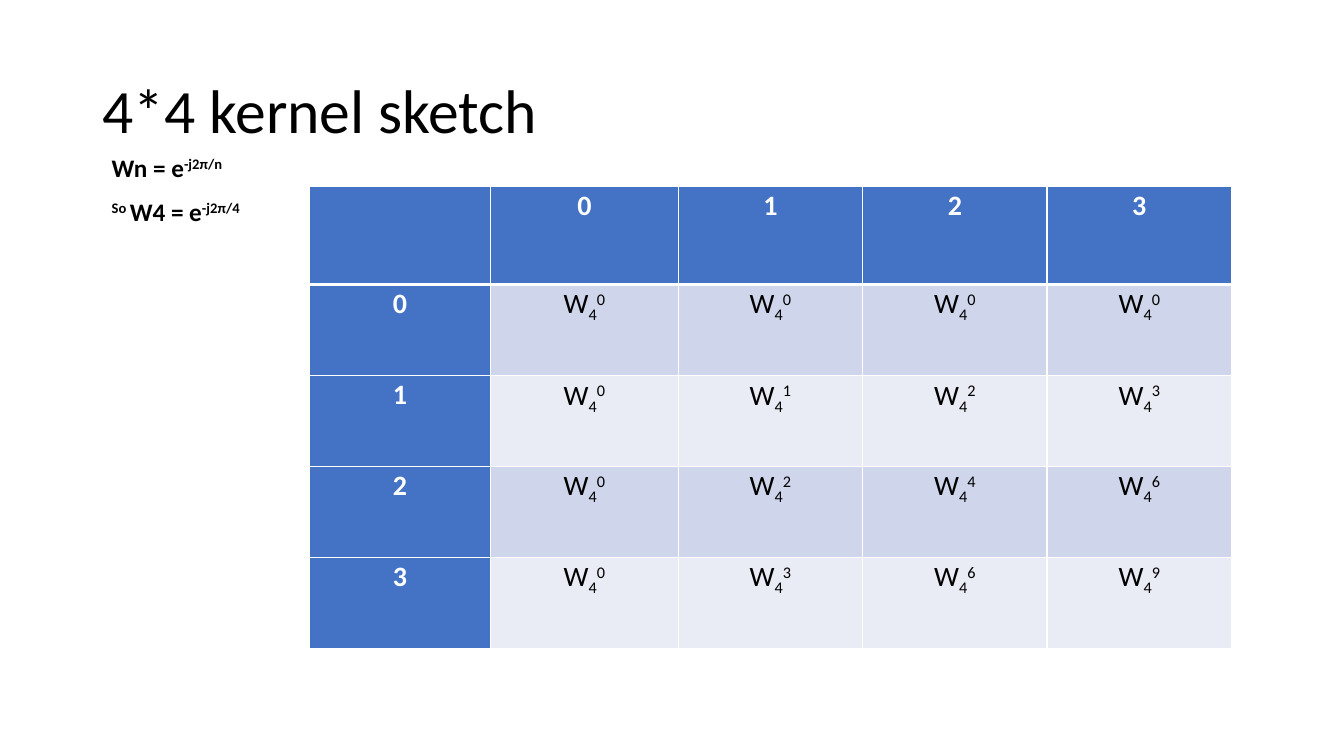
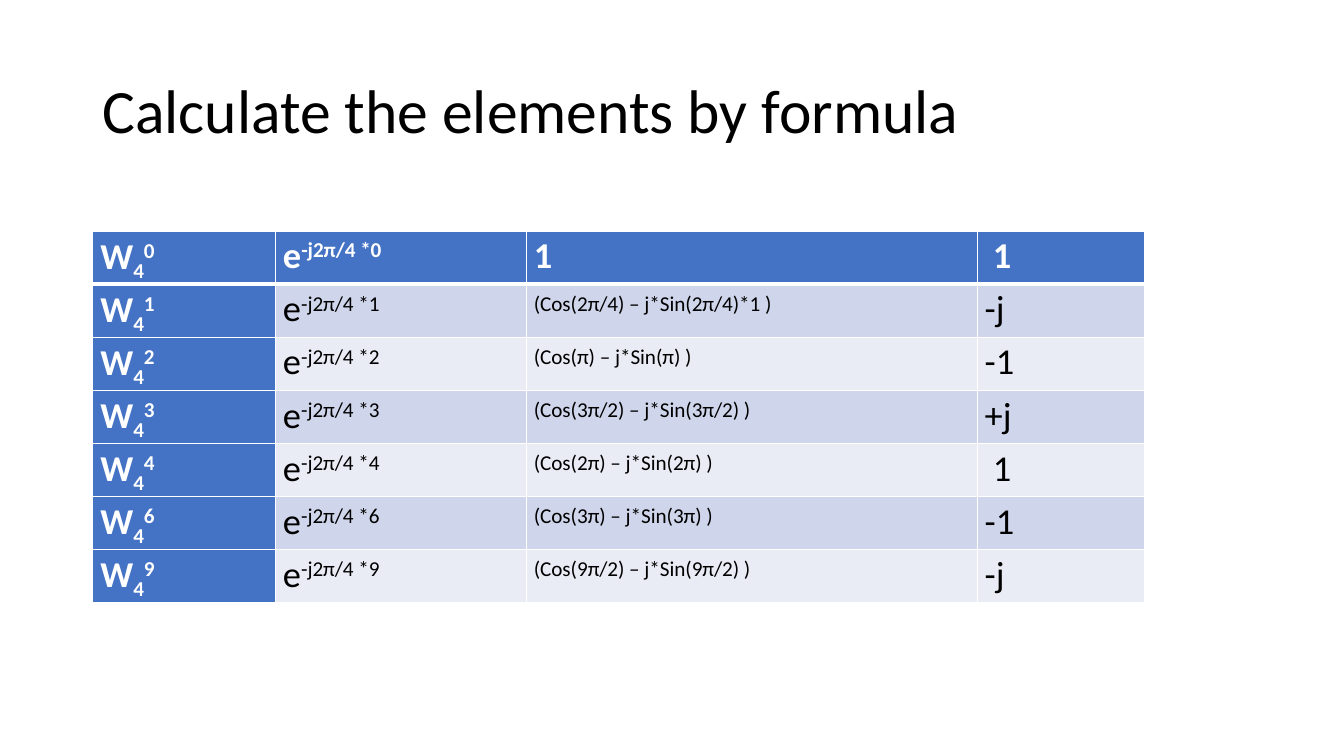
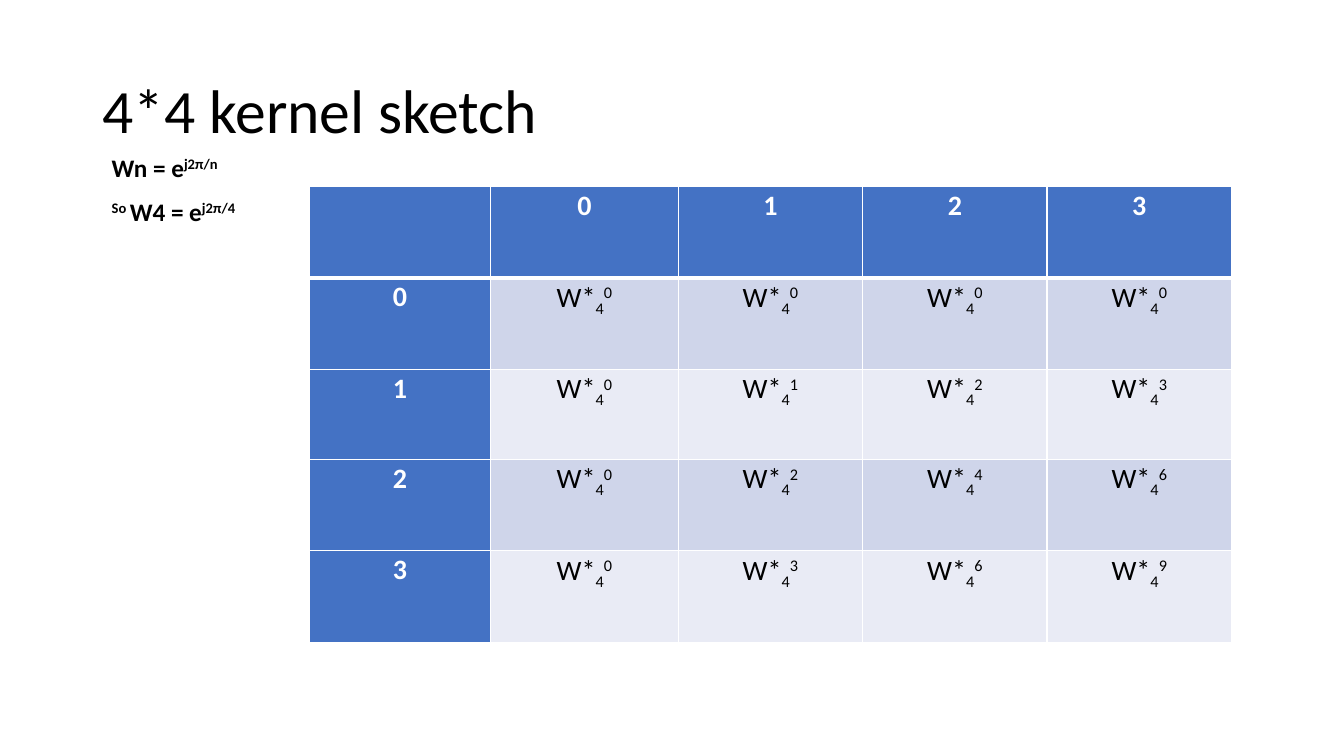
"""Build three slides on the 4*4 Fourier kernel: sketch, element values, conjugate sketch."""
from lxml import etree
from pptx import Presentation
from pptx.dml.color import RGBColor
from pptx.enum.text import MSO_ANCHOR, MSO_AUTO_SIZE, PP_ALIGN
from pptx.oxml.ns import qn
from pptx.util import Pt

LEFT, CENTER = PP_ALIGN.LEFT, PP_ALIGN.CENTER
MIDDLE = MSO_ANCHOR.MIDDLE
FIT_SHAPE = MSO_AUTO_SIZE.SHAPE_TO_FIT_TEXT

BLACK = RGBColor(0x00, 0x00, 0x00)
WHITE = RGBColor(0xFF, 0xFF, 0xFF)
BLUE = RGBColor(0x44, 0x72, 0xC4)
BANDS = [RGBColor(0xE9, 0xEB, 0xF5), RGBColor(0xCF, 0xD5, 0xEA)]
FONT = "Calibri"
SUB, SUP = -25000, 30000


def write(p, runs, size, color=BLACK, bold=False, align=LEFT, spacing=1.07):
    """Fill a paragraph with (text, baseline) runs in one style."""
    p.alignment, p.line_spacing = align, spacing
    p.font.name, p.font.size, p.font.bold = FONT, Pt(size), bold
    p.font.color.rgb = color
    for text, baseline in runs:
        r = p.add_run()
        r.text = text
        if baseline:
            r.font._element.set("baseline", str(baseline))


def add_grid(s, left, top, widths, heights, cells, size, align):
    """Add a banded table with a blue first row and first column."""
    frame = s.shapes.add_table(len(heights), len(widths), Pt(left), Pt(top),
                               Pt(sum(widths)), Pt(sum(heights)))
    table = frame.table
    table.first_col = True
    for column, width in zip(table.columns, widths):
        column.width = Pt(width)
    for i, height in enumerate(heights):
        table.rows[i].height = Pt(height)
        for j, runs in enumerate(cells[i]):
            cell = table.cell(i, j)
            head = i == 0 or j == 0
            cell.margin_left = cell.margin_right = Pt(5.4)
            cell.margin_top = cell.margin_bottom = 0
            for side in ("lnL", "lnR", "lnT", "lnB"):
                thick = (i, side) in ((0, "lnB"), (1, "lnT"))
                ln = etree.SubElement(cell._tc.get_or_add_tcPr(), qn(f"a:{side}"),
                                      w=str(Pt(3 if thick else 1)))
                fill = etree.SubElement(ln, qn("a:solidFill"))
                etree.SubElement(fill, qn("a:srgbClr"), val=str(WHITE))
            cell.fill.solid()
            cell.fill.fore_color.rgb = BLUE if head else BANDS[i % 2]
            write(cell.text_frame.paragraphs[0], runs, size,
                  WHITE if head else BLACK, head, align)


prs = Presentation()
prs.slide_width, prs.slide_height = Pt(960), Pt(540)

for title in ("4*4 kernel sketch", "Calculate the elements by formula", "4*4 kernel sketch"):
    s = prs.slides.add_slide(prs.slide_layouts[5])
    sp = s.shapes.title
    sp.left, sp.top, sp.width, sp.height = Pt(66), Pt(28.75), Pt(828), Pt(104.5)
    sp.text_frame.vertical_anchor = MIDDLE
    write(sp.text_frame.paragraphs[0], [(title, 0)], 44, spacing=0.9)

sketch, formulas, conjugate = prs.slides

for s, symbol, sign, head_height in ((sketch, "W", "-", 70), (conjugate, "W*", "", 65.25)):
    cells = [[[]] + [[(str(n), 0)] for n in range(4)]]
    for k in range(4):
        cells.append([[(str(k), 0)]] + [[(symbol, 0), ("4", SUB), (str(k * n), SUP)]
                                        for n in range(4)])
    add_grid(s, 221, 133.25, [129.5, 134] + [131.75] * 3,
             [head_height, 65.25, 64.5, 65.25, 65.25], cells, 20, CENTER)

    sp = s.shapes.add_textbox(Pt(72.75), Pt(103.75), Pt(141), Pt(92))
    tf = sp.text_frame
    tf.word_wrap, tf.auto_size = True, FIT_SHAPE
    lines = [[("Wn = e", 0), (f"{sign}j2π/n", SUP)],
             [("So ", SUP), ("W4 = e", 0), (f"{sign}j2π/4", SUP)]]
    for p, runs in zip((tf.paragraphs[0], tf.add_paragraph()), lines):
        write(p, runs, 18, bold=True)
        p.space_after = Pt(8)

elements = [
    (0, "1", 0, " 1"),
    (1, "(Cos(2π/4) – j*Sin(2π/4)*1 )", SUP, "-j"),
    (2, "(Cos(π) – j*Sin(π) )", SUP, "-1"),
    (3, "(Cos(3π/2) – j*Sin(3π/2) )", SUP, "+j"),
    (4, "(Cos(2π) – j*Sin(2π) )", SUP, " 1"),
    (6, "(Cos(3π) – j*Sin(3π) )", SUP, "-1"),
    (9, "(Cos(9π/2) – j*Sin(9π/2) )", SUP, "-j"),
]
cells = [[[("W", 0), ("4", SUB), (str(power), SUP)],
          [("e", 0), (f"-j2π/4 *{power}", SUP)],
          [(expansion, baseline)],
          [(value, 0)]] for power, expansion, baseline, value in elements]
add_grid(formulas, 66.25, 165, [130.5, 179.25, 322, 119.5], [37.9] * 7, cells, 26, LEFT)

prs.save("out.pptx")
